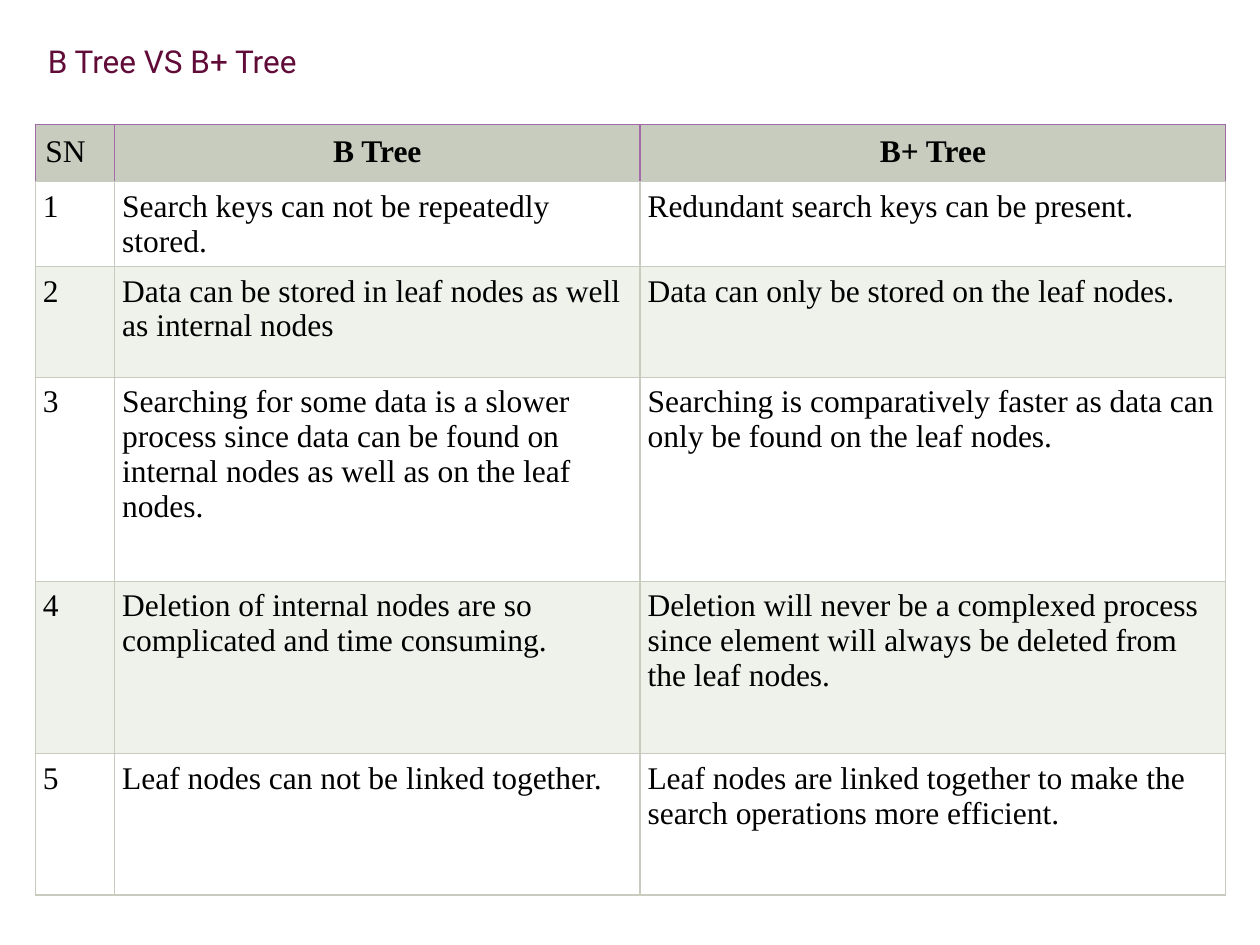
from lxml import etree
from pptx import Presentation
from pptx.dml.color import RGBColor
from pptx.enum.text import MSO_ANCHOR, PP_ALIGN
from pptx.oxml.ns import qn
from pptx.util import Inches, Pt

CENTER, LEFT = PP_ALIGN.CENTER, PP_ALIGN.LEFT
TOP = MSO_ANCHOR.TOP

SAGE, PALE_SAGE, WHITE = "C7CCBE", "EFF1EB", "FFFFFF"
PURPLE, PLUM, BLACK = "A06BA7", "610B38", "000000"

COL_WIDTHS = [0.63, 4.17, 4.65]
ROW_HEIGHTS = [0.45, 0.63, 0.88, 1.62, 1.37, 1.12]
HEADERS = ["SN", "B Tree", "B+ Tree"]
COMPARISONS = [
    ("Search keys can not be repeatedly stored.",
     "Redundant search keys can be present."),
    ("Data can be stored in leaf nodes as well as internal nodes",
     "Data can only be stored on the leaf nodes."),
    ("Searching for some data is a slower process since data can be found on "
     "internal nodes as well as on the leaf nodes.",
     "Searching is comparatively faster as data can only be found on the leaf nodes."),
    ("Deletion of internal nodes are so complicated and time consuming.",
     "Deletion will never be a complexed process since element will always be "
     "deleted from the leaf nodes."),
    ("Leaf nodes can not be linked together.",
     "Leaf nodes are linked together to make the search operations more efficient."),
]


def rgb(color):
    return RGBColor.from_string(color)


def add_run(p, text, font, color, bold=False):
    r = p.add_run()
    r.text = text
    r.font.name = font
    r.font.size = Pt(18)
    r.font.bold = bold
    r.font.color.rgb = rgb(color)


def set_borders(cell, color, bottom):
    """Draw the four cell edges; call before the fill, which must follow them."""
    tc_pr = cell._tc.get_or_add_tcPr()
    for tag, edge in (("a:lnL", color), ("a:lnR", color), ("a:lnT", color), ("a:lnB", bottom)):
        ln = etree.SubElement(tc_pr, qn(tag), w=str(Pt(0.75)))
        fill = etree.SubElement(ln, qn("a:solidFill"))
        etree.SubElement(fill, qn("a:srgbClr"), val=edge)


def fill_cell(cell, text, fill, border, inset, align=LEFT, bold=False):
    set_borders(cell, border, SAGE)
    cell.fill.solid()
    cell.fill.fore_color.rgb = rgb(fill)
    cell.margin_left = cell.margin_right = Inches(inset)
    cell.margin_top = cell.margin_bottom = Inches(inset)
    p = cell.text_frame.paragraphs[0]
    p.alignment = align
    add_run(p, text, "Times New Roman", BLACK, bold)


def add_title(s, text):
    sp = s.shapes.title
    sp.left, sp.top = Inches(0.28), Inches(0.26)
    sp.width, sp.height = Inches(3.07), Inches(0.71)
    sp.fill.solid()
    sp.fill.fore_color.rgb = rgb(WHITE)
    tf = sp.text_frame
    tf.word_wrap = True
    tf.vertical_anchor = TOP
    tf.margin_top = Inches(0.07)
    p = tf.paragraphs[0]
    p.alignment = LEFT
    add_run(p, text, "Roboto", PLUM)


def add_comparison_table(s):
    table = s.shapes.add_table(
        len(ROW_HEIGHTS), len(COL_WIDTHS), Inches(0.28), Inches(0.99),
        Inches(sum(COL_WIDTHS)), Inches(sum(ROW_HEIGHTS))).table
    for col, width in zip(table.columns, COL_WIDTHS):
        col.width = Inches(width)
    for row, height in zip(table.rows, ROW_HEIGHTS):
        row.height = Inches(height)

    for j, text in enumerate(HEADERS):
        named = j > 0
        fill_cell(table.cell(0, j), text, SAGE, PURPLE, 0.08,
                  CENTER if named else LEFT, named)
    for i, pair in enumerate(COMPARISONS, start=1):
        for j, text in enumerate((str(i), *pair)):
            fill_cell(table.cell(i, j), text, WHITE if i % 2 else PALE_SAGE, SAGE, 0.06)


def main():
    prs = Presentation()
    prs.slide_width, prs.slide_height = Inches(10), Inches(7.5)
    s = prs.slides.add_slide(prs.slide_layouts[5])
    add_comparison_table(s)
    add_title(s, "B Tree VS B+ Tree")
    prs.save("out.pptx")


if __name__ == "__main__":
    main()
